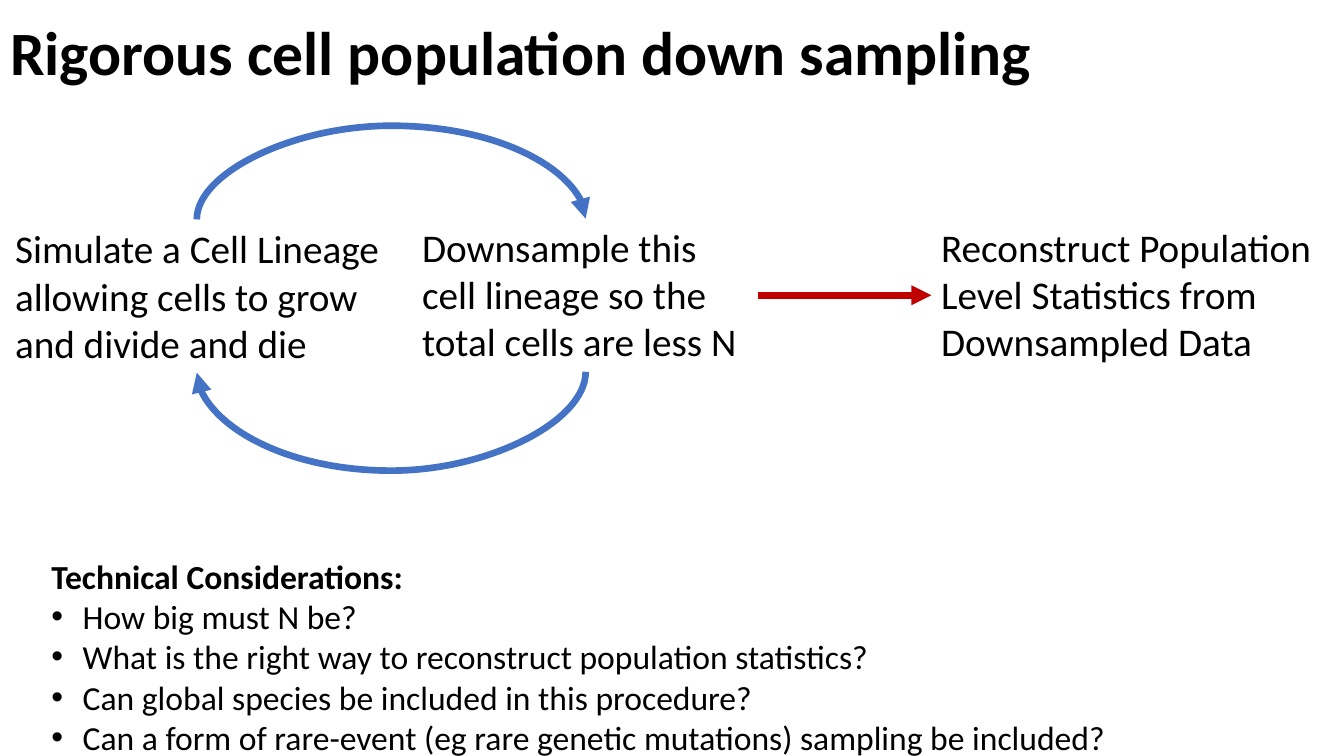
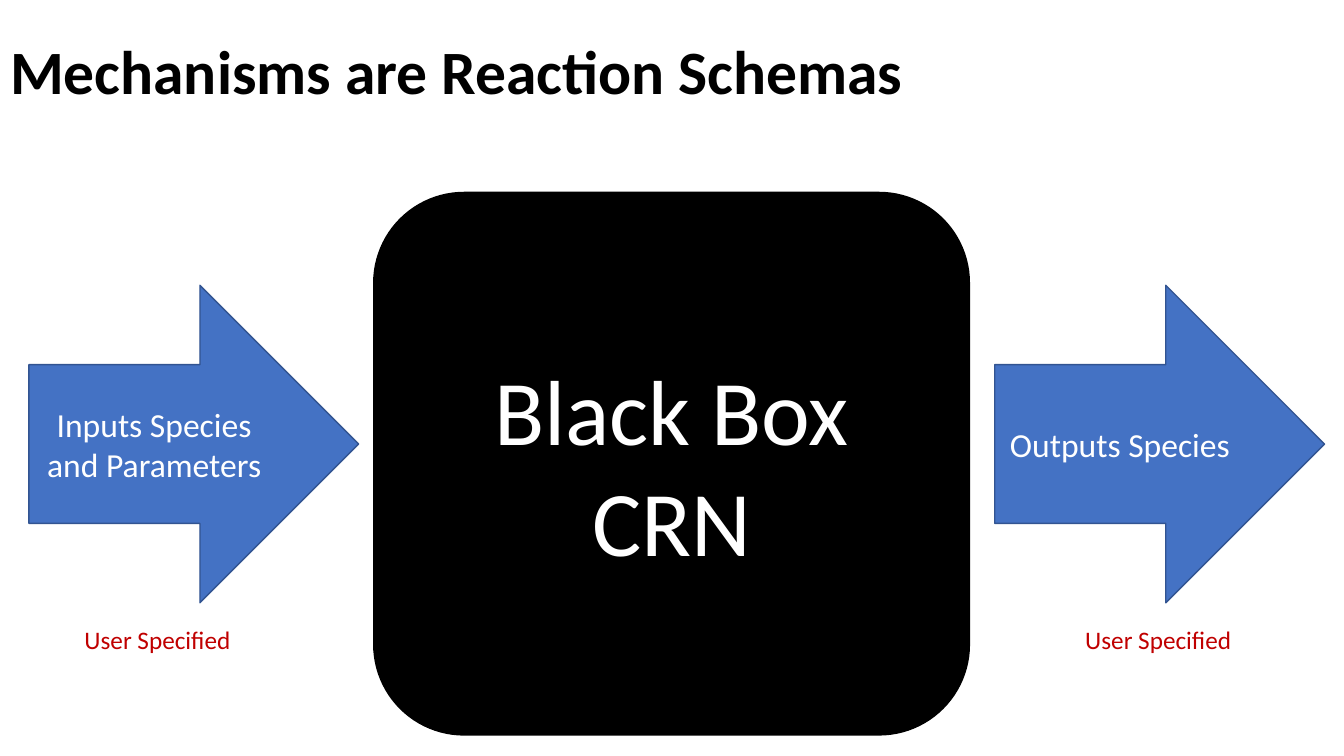
from lxml import etree
from pptx import Presentation
from pptx.dml.color import RGBColor
from pptx.enum.shapes import MSO_CONNECTOR, MSO_SHAPE
from pptx.enum.text import MSO_ANCHOR, MSO_AUTO_SIZE, PP_ALIGN
from pptx.oxml.ns import qn
from pptx.util import Cm, Pt

CURVE, STRAIGHT = MSO_CONNECTOR.CURVE, MSO_CONNECTOR.STRAIGHT
RIGHT_ARROW, ROUNDED = MSO_SHAPE.RIGHT_ARROW, MSO_SHAPE.ROUNDED_RECTANGLE
TOP, MIDDLE = MSO_ANCHOR.TOP, MSO_ANCHOR.MIDDLE
LEFT, CENTER = PP_ALIGN.LEFT, PP_ALIGN.CENTER
TITLE_AND_BODY, TITLE_ONLY = 1, 5

FONT = "Calibri"
BLACK, WHITE, BLUE, BLUE_EDGE, RED = "000000", "FFFFFF", "4472C4", "325491", "C00000"
TITLE = {"size": Pt(44), "bold": True}
STEP = {"size": Pt(28), "bold": False}
LIST = {"size": Pt(24), "bold": False}
LIST_HEADING = {"size": Pt(24), "bold": True}
ARROW_TEXT = {"size": Pt(24), "bold": False}
BOX_TEXT = {"size": Pt(66), "bold": False}
CAPTION = {"size": Pt(18), "bold": False}

SAMPLING_TITLE = ("Rigorous cell population down sampling", (0, 0, 33.87, 2.8))
STEPS = [
    ("Simulate a Cell Lineage allowing cells to grow and divide and die", (0.13, 5.54, 9.7, 3.84)),
    ("Downsample this cell lineage so the total cells are less N", (10.39, 5.51, 8.69, 3.84)),
    ("Reconstruct Population Level Statistics from Downsampled Data", (23.47, 5.51, 10.29, 3.84)),
]
LOOP_CENTER, LOOP_WIDTH, LOOP_RISE = 9.86, 9.8, 0.02
LOOP_ARCS = [(5.52, -1, 2.36), (9.38, 1, 2.49)]
RESULT_ARROW = (19.1, 7.44, 23.47, 7.44)
CONSIDERATIONS = [
    "Technical Considerations:",
    "How big must N be?",
    "What is the right way to reconstruct population statistics?",
    "Can global species be included in this procedure?",
    "Can a form of rare-event (eg rare genetic mutations) sampling be included?",
]
CONSIDERATIONS_AREA = (1.04, 13.87, 31.8, 5.39)

MECHANISM_TITLE = ("Mechanisms are Reaction Schemas", (0, 0.05, 29.21, 3.68))
FLOW_ARROWS = [("Inputs Species and Parameters", 0.73, 1.88), ("Outputs Species", 25.07, 27.1)]
ARROW_TOP, ARROW_WIDTH, ARROW_HEIGHT = 7.19, 8.31, 8
CAPTION_TEXT, CAPTION_TOP, CAPTION_WIDTH, CAPTION_HEIGHT = "User Specified", 15.6, 4.6, 1.02
BLACK_BOX = ("Black Box CRN", (9.42, 4.85, 15.01, 13.67))


def color(value):
    return RGBColor.from_string(value)


def lengths(values):
    return [Cm(value) for value in values]


def apply(target, values):
    for name, value in values.items():
        setattr(target, name, value)


def place(shape, area):
    apply(shape, dict(zip(("left", "top", "width", "height"), lengths(area))))


def write(shape, lines, style, fill=BLACK, align=LEFT, anchor=TOP, spacing=1.0):
    frame = shape.text_frame
    frame.text = "\n".join(lines)
    apply(frame, {"word_wrap": True, "auto_size": MSO_AUTO_SIZE.NONE, "vertical_anchor": anchor})
    for paragraph in frame.paragraphs:
        apply(paragraph, {"alignment": align, "line_spacing": spacing,
                          "space_before": Pt(0), "space_after": Pt(0)})
        for run in paragraph.runs:
            apply(run.font, {"name": FONT, **style})
            run.font.color.rgb = color(fill)


def add_slide(presentation, layout, title):
    slide = presentation.slides.add_slide(presentation.slide_layouts[layout])
    text, area = title
    place(slide.shapes.title, area)
    write(slide.shapes.title, [text], TITLE, anchor=MIDDLE, spacing=0.9)
    return slide


def add_text(slide, text, area, style, fill=BLACK):
    write(slide.shapes.add_textbox(*lengths(area)), [text], style, fill)


def add_block(slide, kind, text, area, style, fill, edge):
    shape = slide.shapes.add_shape(kind, *lengths(area))
    shape.shadow.inherit = False
    shape.fill.solid()
    shape.fill.fore_color.rgb = color(fill)
    shape.line.color.rgb = color(edge)
    shape.line.width = Pt(1)
    write(shape, [text], style, WHITE, CENTER, MIDDLE)


def add_arrow(slide, kind, ends, fill):
    connector = slide.shapes.add_connector(kind, *lengths(ends))
    connector.line.color.rgb = color(fill)
    connector.line.width = Pt(4.75)
    etree.SubElement(connector.line._get_or_add_ln(), qn("a:tailEnd"), type="triangle")
    properties = connector._element.spPr
    etree.SubElement(properties, qn("a:effectLst"))
    return properties


def add_loop_arc(slide, middle, side, bulge):
    across, down = side * LOOP_RISE / 2, side * LOOP_WIDTH / 2
    ends = (LOOP_CENTER - across, middle - down, LOOP_CENTER + across, middle + down)
    properties = add_arrow(slide, CURVE, ends, BLUE)
    properties.find(qn("a:xfrm")).set("rot", str(90 * 60000))
    guides = properties.find(qn("a:prstGeom")).find(qn("a:avLst"))
    ratio = round(bulge / LOOP_RISE * 100000)
    etree.SubElement(guides, qn("a:gd"), name="adj1", fmla=f"val {ratio}")


def add_considerations(slide):
    body = slide.placeholders[1]
    place(body, CONSIDERATIONS_AREA)
    write(body, CONSIDERATIONS, LIST)
    heading, *items = body.text_frame.paragraphs
    apply(heading.runs[0].font, LIST_HEADING)
    for paragraph in (heading, *items):
        properties = paragraph._p.get_or_add_pPr()
        indent = 0 if paragraph is heading else Cm(0.79)
        properties.set("marL", str(indent))
        properties.set("indent", str(-indent))
    etree.SubElement(heading._p.get_or_add_pPr(), qn("a:buNone"))
    for paragraph in items:
        properties = paragraph._p.get_or_add_pPr()
        etree.SubElement(properties, qn("a:buFont"), typeface="Arial")
        etree.SubElement(properties, qn("a:buChar"), char="•")


def build_sampling(presentation):
    slide = add_slide(presentation, TITLE_AND_BODY, SAMPLING_TITLE)
    for text, area in STEPS:
        add_text(slide, text, area, STEP)
    for arc in LOOP_ARCS:
        add_loop_arc(slide, *arc)
    add_arrow(slide, STRAIGHT, RESULT_ARROW, RED)
    add_considerations(slide)


def build_mechanisms(presentation):
    slide = add_slide(presentation, TITLE_ONLY, MECHANISM_TITLE)
    for text, arrow_left, caption_left in FLOW_ARROWS:
        area = (arrow_left, ARROW_TOP, ARROW_WIDTH, ARROW_HEIGHT)
        add_block(slide, RIGHT_ARROW, text, area, ARROW_TEXT, BLUE, BLUE_EDGE)
        area = (caption_left, CAPTION_TOP, CAPTION_WIDTH, CAPTION_HEIGHT)
        add_text(slide, CAPTION_TEXT, area, CAPTION, RED)
    text, area = BLACK_BOX
    add_block(slide, ROUNDED, text, area, BOX_TEXT, BLACK, BLACK)


def main():
    presentation = Presentation()
    apply(presentation, {"slide_width": Cm(33.87), "slide_height": Cm(19.05)})
    build_sampling(presentation)
    build_mechanisms(presentation)
    presentation.save("out.pptx")


if __name__ == "__main__":
    main()
